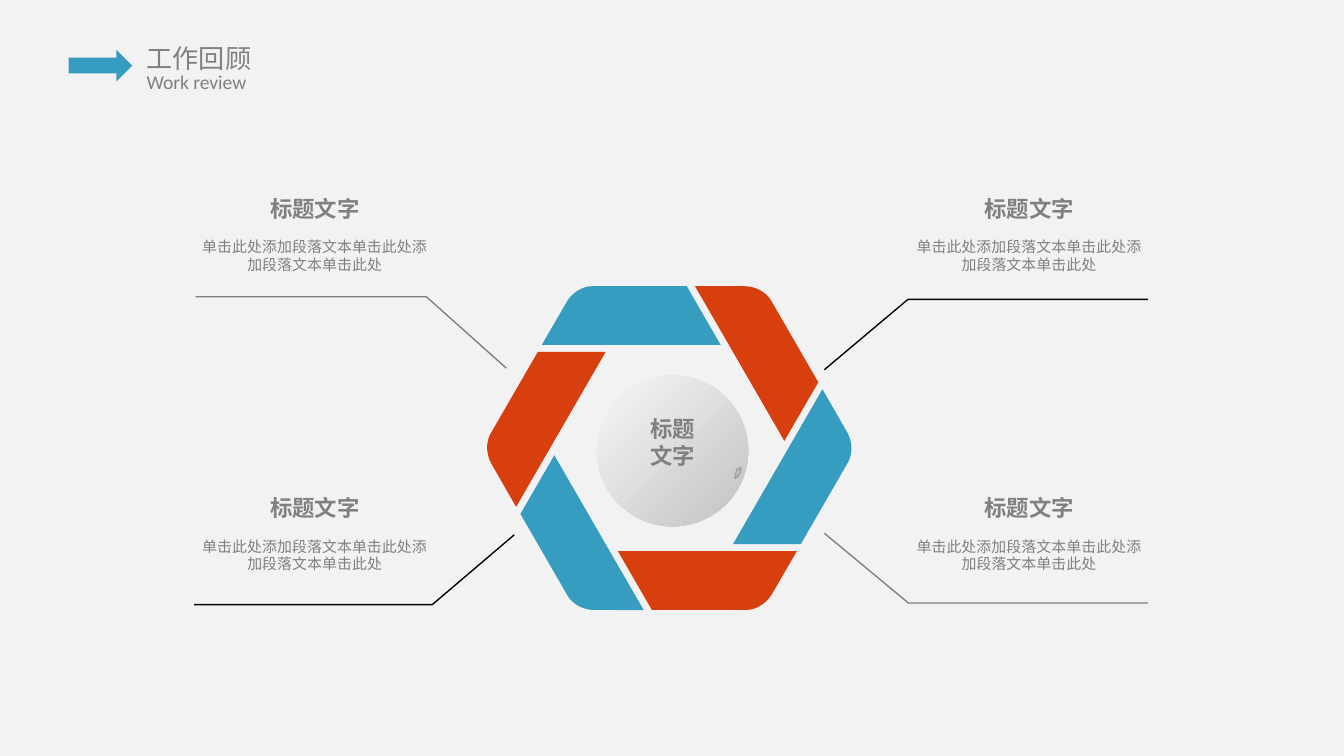
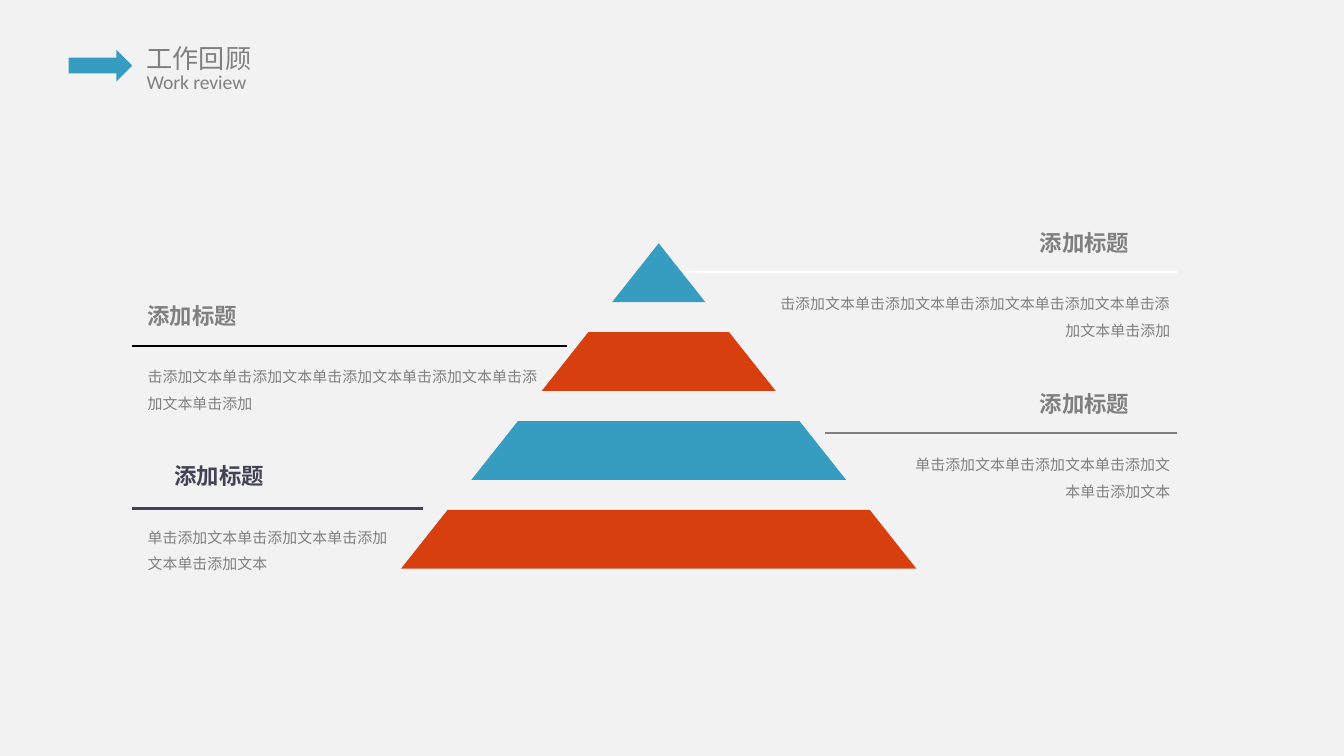
import math

import lxml.etree
import pptx
import pptx.dml.color
import pptx.enum.shapes
import pptx.enum.text
import pptx.oxml.ns
import pptx.util

Cm, Pt = pptx.util.Cm, pptx.util.Pt
KIND = pptx.enum.shapes.MSO_SHAPE
ALIGN = pptx.enum.text.PP_ALIGN
QN = pptx.oxml.ns.qn

BLUE, RED, GREY, RULE = "369CC0", "D73F0F", "808080", "7F7F7F"
BLACK, WHITE, DARK, PAPER, MARK = "000000", "FFFFFF", "424456", "F2F2F2", "A6A6A6"
HAN, LATIN = "Noto Sans CJK SC", "Calibri"


def tint(code):
    return pptx.dml.color.RGBColor.from_string(code)


def paint(shape, fill=None, line=None, width=0.75):
    shape.shadow.inherit = False
    if fill:
        shape.fill.solid()
        shape.fill.fore_color.rgb = tint(fill)
    else:
        shape.fill.background()
    if line:
        shape.line.color.rgb = tint(line)
        shape.line.width = Pt(width)
    else:
        shape.line.fill.background()


def poly(slide, points, close=True):
    dots = [(Cm(x), Cm(y)) for x, y in points]
    maker = slide.shapes.build_freeform(*dots[0], scale=1.0)
    maker.add_line_segments(dots[1:], close=close)
    return maker.convert_to_shape()


def shift(points, left, top):
    return [(left + x, top + y) for x, y in points]


def rule(slide, start, end, y, color):
    line = slide.shapes.add_connector(
        pptx.enum.shapes.MSO_CONNECTOR.STRAIGHT, Cm(start), Cm(y), Cm(end), Cm(y))
    line.line.color.rgb = tint(color)
    line.line.width = Pt(1.25)
    props = line._element.find(QN("p:spPr"))
    lxml.etree.SubElement(props, QN("a:effectLst"))


def label(slide, box, text, size, color=GREY, bold=False, align=ALIGN.LEFT,
          wrap=True, space=None, font=HAN, inset=0.25):
    frame = slide.shapes.add_textbox(*map(Cm, box)).text_frame
    frame.text = text
    frame.word_wrap = wrap
    frame.auto_size = pptx.enum.text.MSO_AUTO_SIZE.SHAPE_TO_FIT_TEXT
    frame.margin_left = frame.margin_right = Cm(inset)
    for para in frame.paragraphs:
        para.alignment = align
        if space:
            para.line_spacing = space
        for run in para.runs:
            run.font.size = Pt(size)
            run.font.bold = bold
            run.font.color.rgb = tint(color)
            run.font.name = font
            east = lxml.etree.SubElement(run.font._element, QN("a:ea"))
            east.set("typeface", font)


def page(deck):
    """Add a slide with the shared background and heading."""
    slide = deck.slides.add_slide(deck.slide_layouts[6])
    slide.background.fill.solid()
    slide.background.fill.fore_color.rgb = tint(PAPER)
    label(slide, (2.49, 0.67, 2.8, 0.86), "工作回顾", 14, inset=0.28)
    label(slide, (2.49, 1.2, 2.8, 0.71), "Work review", 10.5,
          font=LATIN, inset=0.28)
    arrow = slide.shapes.add_shape(
        KIND.RIGHT_ARROW, Cm(1.3), Cm(0.94), Cm(1.2), Cm(0.6))
    paint(arrow, BLUE)
    return slide


def curve(points, steps=10):
    """Sample a cubic Bezier curve given by four points."""
    for step in range(steps + 1):
        t = step / steps
        parts = (1 - t) ** 3, 3 * t * (1 - t) ** 2, 3 * t * t * (1 - t), t ** 3
        yield tuple(sum(k * p[axis] for k, p in zip(parts, points))
                    for axis in (0, 1))


def turn(points, angle):
    cos, sin = math.cos(angle), math.sin(angle)
    return [(x * cos - y * sin, x * sin + y * cos) for x, y in points]


def ring(slide, x, y):
    """Draw six blades around the centre (x, y)."""
    bend = (-1.94, -2.76), (-1.84, -2.93), (-1.65, -3.06), (-1.45, -3.06)
    blade = [(0.33, -3.06), (0.97, -1.95), (-2.41, -1.95), *curve(bend)]
    for i in range(6):
        part = poly(slide, shift(turn(blade, i * math.pi / 3), x, y))
        paint(part, RED if i % 2 else BLUE)


def ball(slide, left, top, size):
    disc = slide.shapes.add_shape(KIND.OVAL, Cm(left), Cm(top), Cm(size), Cm(size))
    paint(disc)
    disc.fill.gradient()
    disc.fill.gradient_angle = 315
    for stop, place, color in zip(disc.fill.gradient_stops, (0, 1),
                                  ("F7F7F7", "C2C2C2")):
        stop.position = place
        stop.color.rgb = tint(color)
    leaf = [(2.71, 1.77), (2.66, 1.77), (2.63, 1.85),
            (2.61, 1.95), (2.66, 1.92), (2.71, 1.84)]
    tip = [(2.72, 1.75), (2.69, 1.77), (2.72, 1.8)]
    for points in (leaf, tip):
        paint(poly(slide, shift(points, left, top)), line=MARK, width=1)
    label(slide, (left + 0.15, top + 0.63, 2.57, 1.3), "标题\n文字", 12,
          bold=True, align=ALIGN.CENTER)


def topic(slide, left, top, lead, color):
    """Draw a caption and its bent leader, given relative to the caption."""
    paint(poly(slide, shift(lead, left, top), close=False), line=color)
    label(slide, (left, top + 0.81, 4.9, 0.94),
          "单击此处添加段落文本单击此处添加段落文本单击此处", 8, align=ALIGN.CENTER)
    label(slide, (left, top, 4.9, 0.76), "标题文字", 12, bold=True,
          align=ALIGN.CENTER)


def wheel(deck):
    slide = page(deck)
    ring(slide, 12.65, 8.47)
    west, east, north, south = 3.5, 17, 3.56, 9.22
    topics = [
        (west, north, [(6.07, 3.4), (4.56, 2.05), (0.2, 2.05)], RULE),
        (west, south, [(6.22, 0.89), (4.67, 2.21), (0.17, 2.21)], BLACK),
        (east, north, [(-1.42, 3.43), (0.16, 2.1), (4.7, 2.1)], BLACK),
        (east, south, [(-1.42, 0.86), (0.17, 2.18), (4.7, 2.18)], RULE),
    ]
    for item in topics:
        topic(slide, *item)
    ball(slide, 11.28, 7.09, 2.86)


def tower(slide, x, top):
    """Stack four layers below the apex (x, top)."""
    tall, pitch, slant, grow = 1.11, 1.68, 0.88, 1.33
    for i in range(4):
        high, base = i * grow, i * grow + slant
        layer = [(-high, 0), (-base, tall), (base, tall), (high, 0)]
        if i == 0:
            layer.pop()
        part = poly(slide, shift(layer, x, top + i * pitch))
        paint(part, RED if i % 2 else BLUE)


def note(slide, box, text, head, line, align, ink=GREY):
    """Draw a note; head is the title's offset and alignment."""
    left, top, width = box
    start, end, drop, color = line
    rule(slide, start, end, top + drop, color)
    label(slide, (left + head[0], top, 2.21, 0.76), "添加标题", 12, ink,
          bold=True, align=head[1], wrap=False)
    label(slide, (left, top + 1.07, width, 1.27), text, 8, align=align, space=1.5)


def pyramid(deck):
    slide = page(deck)
    long = "击添加文本单击添加文本单击添加文本单击添加文本单击添加文本单击添加"
    short = "单击添加文本单击添加文本单击添加文本单击添加文本"
    west, east = 2.49, 22.25
    mid, start, end = ALIGN.CENTER, ALIGN.LEFT, ALIGN.RIGHT
    note(slide, (14.34, 4.21, 8.03), long, (5.05, mid),
         (12.93, east, 0.93, WHITE), end)
    note(slide, (16.83, 7.25, 5.54), short, (2.56, mid),
         (15.6, east, 0.94, RULE), end)
    note(slide, (2.54, 5.59, 8.03), long, (0, start),
         (west, 10.72, 0.95, BLACK), start)
    note(slide, (2.54, 8.62, 5.21), short, (0.5, mid),
         (west, 8, 0.99, DARK), start, DARK)
    tower(slide, 12.45, 4.6)


def main():
    deck = pptx.Presentation()
    deck.slide_width, deck.slide_height = Cm(25.4), Cm(14.29)
    wheel(deck)
    pyramid(deck)
    deck.save("out.pptx")


if __name__ == "__main__":
    main()
